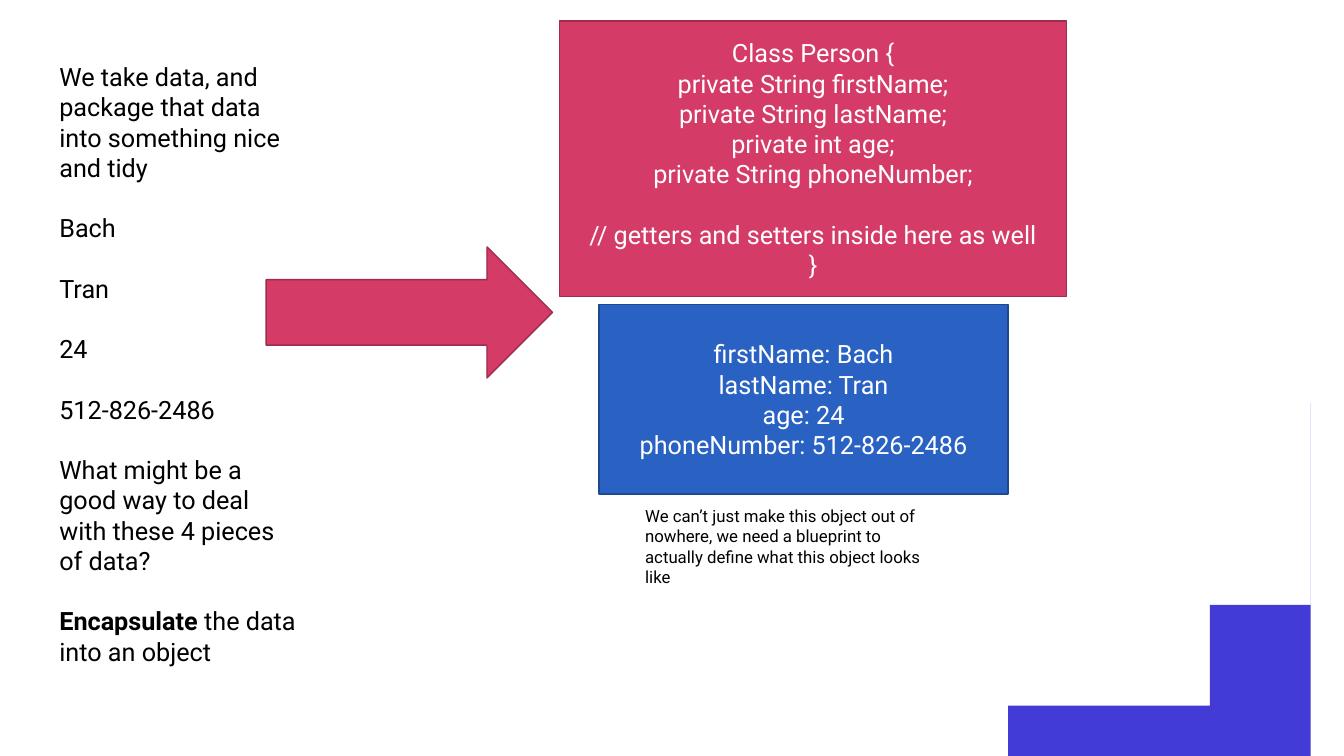
from pptx import Presentation
from pptx.dml.color import RGBColor
from pptx.enum.shapes import MSO_SHAPE
from pptx.enum.text import MSO_ANCHOR, PP_ALIGN
from pptx.util import Inches, Pt

RECT, ARROW = MSO_SHAPE.RECTANGLE, MSO_SHAPE.RIGHT_ARROW
LEFT, CENTER = PP_ALIGN.LEFT, PP_ALIGN.CENTER
TOP, MIDDLE = MSO_ANCHOR.TOP, MSO_ANCHOR.MIDDLE

FONT = "Roboto"
LINE_GAP = 21.6  # one 18 pt line, in points
COLORS = {
    "black": "000000", "white": "FFFFFF", "corner": "423BD5",
    "pink": "D53B67", "pink_line": "9E2C4C",
    "blue": "2962C3", "blue_line": "1E4990",
}

STORY = [
    "We take data, and package that data into something nice and tidy",
    "Bach",
    "Tran",
    "24",
    "512-826-2486",
    "What might be a good way to deal with these 4 pieces of data?",
    [("Encapsulate", True), (" the data into an object", False)],
]
CLASS_CODE = [
    "Class Person {",
    "private String firstName;",
    "private String lastName;",
    "private int age;",
    "private String phoneNumber;",
    "// getters and setters inside here as well",
    "}",
]
OBJECT_VALUES = [
    "firstName: Bach",
    "lastName: Tran",
    "age: 24",
    "phoneNumber: 512-826-2486",
]
BLUEPRINT_NOTE = [
    "We can’t just make this object out of nowhere, we need a blueprint "
    "to actually define what this object looks like",
]


def rgb(name):
    """Return the named colour."""
    return RGBColor.from_string(COLORS[name])


def write_text(sp, paragraphs, size=18, color="black", align=LEFT,
               anchor=TOP, gaps=()):
    """Write paragraphs; those whose index is in gaps get a line of space before."""
    tf = sp.text_frame
    tf.word_wrap = True
    tf.vertical_anchor = anchor
    for i, content in enumerate(paragraphs):
        p = tf.paragraphs[0] if i == 0 else tf.add_paragraph()
        p.alignment = align
        if i in gaps:
            p.space_before = Pt(LINE_GAP)
        runs = [(content, False)] if isinstance(content, str) else content
        for text, bold in runs:
            r = p.add_run()
            r.text = text
            r.font.name = FONT
            r.font.size = Pt(size)
            r.font.bold = bold
            r.font.color.rgb = rgb(color)


def add_text(s, box, paragraphs, **text_format):
    """Add a text box at box (left, top, width, height)."""
    sp = s.shapes.add_textbox(*map(Inches, box))
    write_text(sp, paragraphs, **text_format)


def add_block(s, kind, box, color):
    """Add a filled and outlined preset shape."""
    sp = s.shapes.add_shape(kind, *map(Inches, box))
    sp.shadow.inherit = False
    sp.fill.solid()
    sp.fill.fore_color.rgb = rgb(color)
    sp.line.color.rgb = rgb(color + "_line")
    sp.line.width = Pt(1)
    return sp


def add_code_block(s, box, color, lines, gaps=()):
    """Add a rectangle with centred white lines of text."""
    sp = add_block(s, RECT, box, color)
    write_text(sp, lines, color="white", align=CENTER, anchor=MIDDLE, gaps=gaps)


def curve_points(a, b, c, d, steps=60):
    """Return points along the cubic curve from a to d with handles b and c."""
    points = []
    for i in range(steps + 1):
        t = i / steps
        weights = ((1 - t) ** 3, 3 * t * (1 - t) ** 2, 3 * t * t * (1 - t), t ** 3)
        points.append(tuple(sum(w * v for w, v in zip(weights, axis))
                            for axis in zip(a, b, c, d)))
    return points


def add_corner(s):
    """Add the concave corner at the bottom right."""
    curve = curve_points((9.71, 7.5), (11.67, 7.41), (13.23, 5.87), (13.33, 3.96))
    outline = [(13.33, 7.5), (9.63, 7.5)] + curve
    builder = s.shapes.build_freeform(13.33, 3.78, scale=Inches(1))
    builder.add_line_segments(outline, close=True)
    sp = builder.convert_to_shape()
    sp.shadow.inherit = False
    sp.fill.solid()
    sp.fill.fore_color.rgb = rgb("corner")
    sp.line.fill.background()


def main():
    """Build the slide and save it."""
    prs = Presentation()
    prs.slide_width, prs.slide_height = Inches(13.33), Inches(7.5)
    s = prs.slides.add_slide(prs.slide_layouts[6])
    add_corner(s)
    add_text(s, (0.49, 0.56, 2.61, 6.16), STORY, gaps=range(1, len(STORY)))
    add_block(s, ARROW, (2.64, 2.45, 2.84, 1.3), "pink")
    add_code_block(s, (5.94, 3.02, 4.06, 1.88), "blue", OBJECT_VALUES)
    add_text(s, (6.3, 4.97, 3.15, 0.91), BLUEPRINT_NOTE, size=12)
    add_code_block(s, (5.55, 0.21, 5.03, 2.73), "pink", CLASS_CODE, gaps=(5,))
    prs.save("out.pptx")


main()
